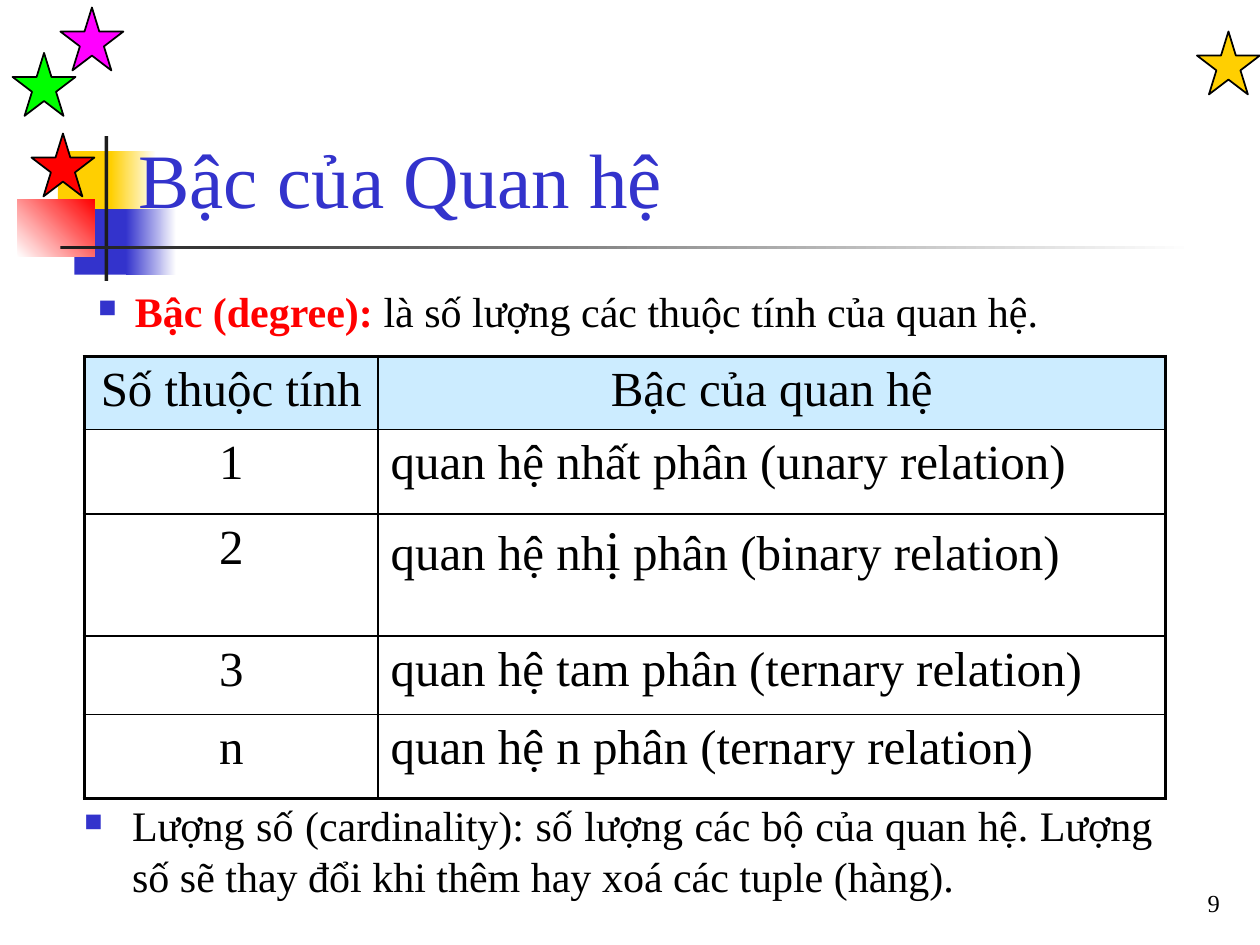
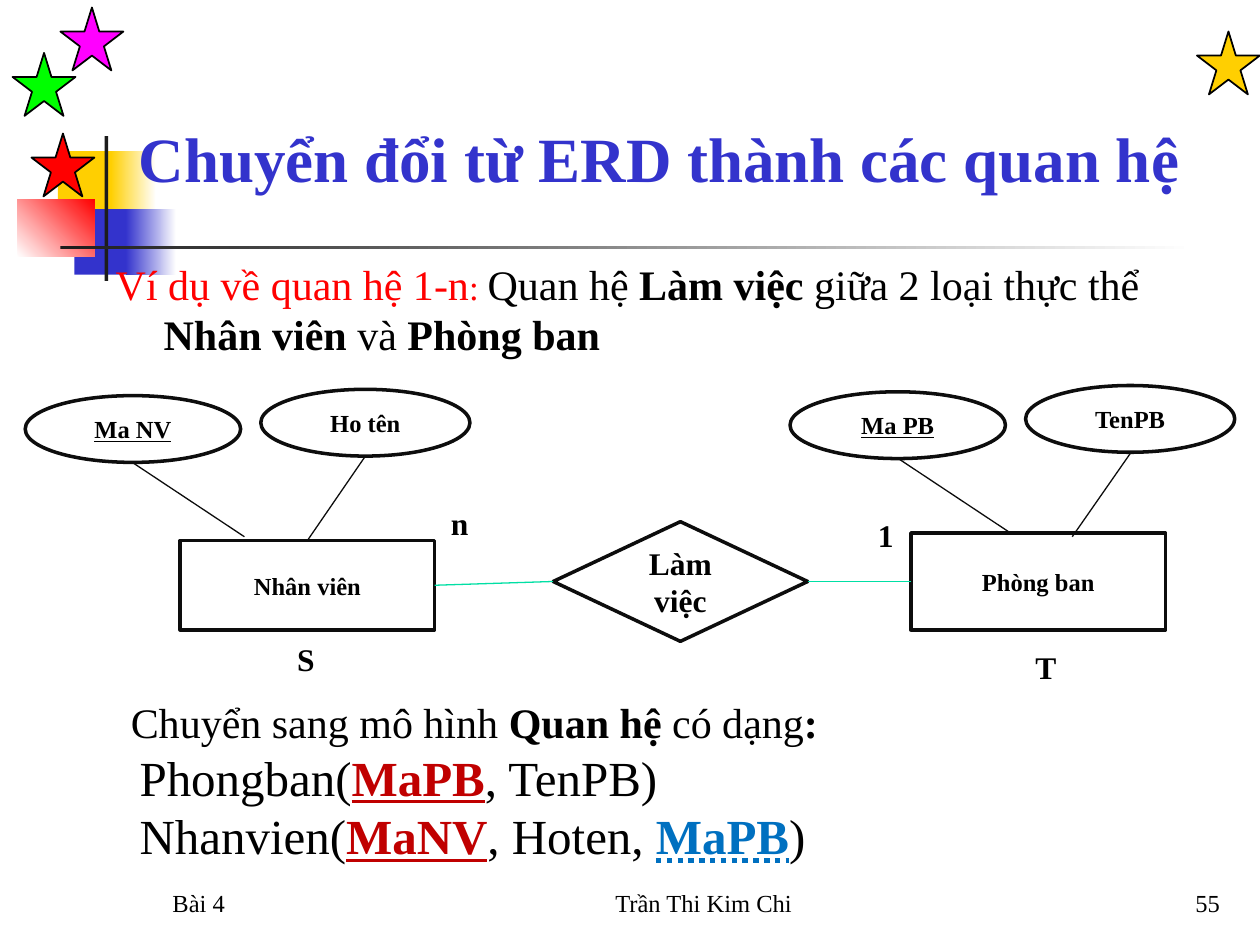
from lxml import etree
from pptx import Presentation
from pptx.dml.color import RGBColor
from pptx.enum import shapes, text
from pptx.oxml.ns import qn
from pptx.util import Inches, Pt

FONT = "Times New Roman"
BLACK = RGBColor(0x00, 0x00, 0x00)
WHITE = RGBColor(0xFF, 0xFF, 0xFF)
INK = RGBColor(0x1C, 0x1C, 0x1C)
OUTLINE = RGBColor(0x0D, 0x0D, 0x0D)
BLUE = RGBColor(0x33, 0x33, 0xCC)
YELLOW = RGBColor(0xFF, 0xCF, 0x01)
RED = RGBColor(0xFF, 0x00, 0x00)
GREEN = RGBColor(0x00, 0xFF, 0x00)
MAGENTA = RGBColor(0xFF, 0x00, 0xFF)
HEADER_BLUE = RGBColor(0xCC, 0xEC, 0xFF)
KEY_RED = RGBColor(0xC0, 0x00, 0x00)
FOREIGN_BLUE = RGBColor(0x00, 0x70, 0xC0)
TEAL = RGBColor(0x00, 0xDF, 0xA4)

RECT = shapes.MSO_SHAPE.RECTANGLE
OVAL = shapes.MSO_SHAPE.OVAL
DIAMOND = shapes.MSO_SHAPE.FLOWCHART_DECISION
TOP, LEFT, RIGHT = 0, 1, 3
ALIGN = text.PP_ALIGN
ANCHOR = text.MSO_ANCHOR

# Bands: box, start colour, end colour (None for solid), angle
BANDS = [
    ((0.46, 1.2, 0.48, 0.52), YELLOW, None, 0),
    ((0.88, 1.2, 0.36, 0.52), YELLOW, WHITE, 0),
    ((0.59, 1.66, 0.46, 0.52), BLUE, None, 0),
    ((1, 1.66, 0.4, 0.52), BLUE, WHITE, 0),
    ((0.14, 1.58, 0.61, 0.46), WHITE, RED, 45),
    ((0.83, 1.08, 0.03, 1.15), INK, None, 0),
    ((0.48, 1.95, 9, 0.03), INK, WHITE, 0),
]
STARS = [(9.5, 0.25, YELLOW), (0.25, 1.06, RED), (0.1, 0.42, GREEN), (0.48, 0.06, MAGENTA)]
FOOTER_BOXES = {
    "date": ((1.27, 6.83, 2.08, 0.5), ALIGN.LEFT),
    "author": ((4, 6.83, 3.17, 0.5), ALIGN.CENTER),
    "number": ((7.7, 6.83, 2.08, 0.5), ALIGN.RIGHT),
}

BOLD = {"bold": True}
KEY = {"bold": True, "underline": True, "color": KEY_RED}
FOREIGN_KEY = {"bold": True, "color": FOREIGN_BLUE,
               "underline": text.MSO_UNDERLINE.DOTTED_HEAVY_LINE}

DEGREE = [("Bậc (degree): ", {"bold": True, "color": RED}),
          "là số lượng các thuộc tính của quan hệ."]
CARDINALITY = ("Lượng số (cardinality): số lượng các bộ của quan hệ. "
               "Lượng số sẽ thay đổi khi thêm hay xoá các tuple (hàng).")
DEGREE_ROWS = [
    ("Số thuộc tính", "Bậc của quan hệ"),
    ("1", "quan hệ nhất phân (unary relation)"),
    ("2", ["quan hệ nh", ("ị", {"size": 32}), " phân (binary relation)"]),
    ("3", "quan hệ tam phân (ternary relation)"),
    ("n", "quan hệ n phân (ternary relation)"),
]
COLUMN_WIDTHS = [2.33, 6.25]
ROW_HEIGHTS = [0.58, 0.67, 0.97, 0.62, 0.67]

EXAMPLE = [("Ví dụ về quan hệ 1-n", {"color": RED}), (": ", {"color": RED, "size": 20}),
           "Quan hệ ", ("Làm việc ", BOLD), "giữa 2 loại thực thể ",
           ("Nhân viên", BOLD), " và ", ("Phòng ban", BOLD)]
CONVERSION = ["Chuyển sang mô hình ", ("Quan hệ ", BOLD), "có dạng", (":", BOLD)]
RELATIONS = [
    ["Phongban(", ("MaPB", KEY), ", TenPB)"],
    ["Nhanvien(", ("MaNV", KEY), ", Hoten, ", ("MaPB", FOREIGN_KEY), ")"],
]

# Diagram nodes: name -> preset, box, text format
NODES = {
    "Nhân viên": (RECT, (1.43, 4.29, 2.02, 0.71), {}),
    "Ho tên": (OVAL, (2.07, 3.09, 1.66, 0.53), {}),
    "Ma NV": (OVAL, (0.2, 3.14, 1.71, 0.53), {"underline": True}),
    "Làm việc": (DIAMOND, (4.39, 4.14, 2.02, 0.95), {"size": 18}),
    "Phòng ban": (RECT, (7.23, 4.23, 2.02, 0.77), {}),
    "TenPB": (OVAL, (8.14, 3.06, 1.66, 0.53), {}),
    "Ma PB": (OVAL, (6.27, 3.11, 1.71, 0.53), {"underline": True}),
}
# Links: start, end, colour, joined start (node, side), joined end (node, side)
LINKS = [
    ((2.9, 3.62), (2.44, 4.29), OUTLINE, None, ("Nhân viên", TOP)),
    ((1.05, 3.67), (1.94, 4.26), OUTLINE, None, None),
    ((8.97, 3.6), (8.51, 4.26), OUTLINE, None, None),
    ((7.13, 3.64), (8.02, 4.23), OUTLINE, None, None),
    ((3.45, 4.65), (4.39, 4.62), TEAL, ("Nhân viên", RIGHT), ("Làm việc", LEFT)),
    ((6.41, 4.62), (7.23, 4.62), TEAL, ("Làm việc", RIGHT), ("Phòng ban", LEFT)),
]
LABELS = [("n", 3.48, 3.95), ("1", 6.87, 4.05), ("S", 2.26, 5.03), ("T", 8.12, 5.09)]


def inches(values):
    return [Inches(value) for value in values]


def write(paragraph, runs, size=24, color=BLACK, bold=False, underline=False,
          align=ALIGN.LEFT, indent=(0, 0), bullet=False):
    """Fill a paragraph; runs is a string or a list of strings and (string, format) pairs."""
    paragraph.alignment = align
    properties = paragraph._p.get_or_add_pPr()
    properties.set("marL", str(Inches(indent[0])))
    properties.set("indent", str(Inches(indent[1])))
    if bullet:
        bullet_color = etree.SubElement(properties, qn("a:buClr"))
        etree.SubElement(bullet_color, qn("a:srgbClr"), val=str(BLUE))
        etree.SubElement(properties, qn("a:buSzPct"), val="60000")
        etree.SubElement(properties, qn("a:buChar"), char="■")
    for item in [runs] if isinstance(runs, str) else runs:
        words, changes = (item, {}) if isinstance(item, str) else item
        look = {"size": size, "color": color, "bold": bold, "underline": underline, **changes}
        run = paragraph.add_run()
        run.text = words
        run.font.name = FONT
        run.font.size = Pt(look["size"])
        run.font.color.rgb = look["color"]
        run.font.bold = look["bold"]
        run.font.underline = look["underline"]


def add_text(slide, box, runs, anchor=ANCHOR.TOP, wrap=True, **look):
    frame = slide.shapes.add_textbox(*inches(box)).text_frame
    frame.word_wrap = wrap
    frame.vertical_anchor = anchor
    write(frame.paragraphs[0], runs, **look)
    return frame


def add_shape(slide, preset, box, fill, line=None, width=1):
    shape = slide.shapes.add_shape(preset, *inches(box))
    shape.shadow.inherit = False
    shape.fill.solid()
    shape.fill.fore_color.rgb = fill
    if line is None:
        shape.line.fill.background()
    else:
        shape.line.color.rgb = line
        shape.line.width = Pt(width)
    return shape


def decorate_layout(layout, slide):
    """Draw the bands and stars, then move them to the layout that all slides share."""
    decorations = []
    for box, start, end, angle in BANDS:
        band = add_shape(slide, RECT, box, start)
        if end is not None:
            band.fill.gradient()
            band.fill.gradient_angle = angle
            for stop, color in zip(band.fill.gradient_stops, (start, end)):
                stop.color.rgb = color
        decorations.append(band)
    for left, top, color in STARS:
        decorations.append(add_shape(slide, shapes.MSO_SHAPE.STAR_5_POINT,
                                     (left, top, 0.5, 0.5), color, BLACK))
    for decoration in decorations:
        layout.shapes.element.append(decoration.element)


def set_title(slide, box, words, **look):
    title = slide.shapes.title
    title.left, title.top, title.width, title.height = inches(box)
    frame = title.text_frame
    frame.auto_size = text.MSO_AUTO_SIZE.NONE
    frame.word_wrap = True
    frame.vertical_anchor = ANCHOR.BOTTOM
    write(frame.paragraphs[0], words, color=BLUE, **look)


def add_footers(slide, **footers):
    for name, words in footers.items():
        box, align = FOOTER_BOXES[name]
        add_text(slide, box, words, anchor=ANCHOR.BOTTOM, size=14, align=align)


def set_borders(cell, **widths):
    properties = cell._tc.get_or_add_tcPr()
    for side in ("lnL", "lnR", "lnT", "lnB"):
        line = etree.SubElement(properties, qn("a:" + side), w=str(Pt(widths[side])))
        fill = etree.SubElement(line, qn("a:solidFill"))
        etree.SubElement(fill, qn("a:srgbClr"), val=str(BLACK))


def add_degree_table(slide):
    last_row, last_column = len(ROW_HEIGHTS) - 1, len(COLUMN_WIDTHS) - 1
    box = (0.67, 2.83, sum(COLUMN_WIDTHS), sum(ROW_HEIGHTS))
    table = slide.shapes.add_table(last_row + 1, last_column + 1, *inches(box)).table
    table.first_row = table.horz_banding = False
    for column, width in zip(table.columns, COLUMN_WIDTHS):
        column.width = Inches(width)
    for i, (row, height) in enumerate(zip(table.rows, ROW_HEIGHTS)):
        row.height = Inches(height)
        for j, cell in enumerate(row.cells):
            set_borders(cell,
                        lnL=2.25 if j == 0 else 1, lnR=2.25 if j == last_column else 1,
                        lnT=2.25 if i == 0 else 1, lnB=2.25 if i == last_row else 1)
            cell.fill.solid()
            cell.fill.fore_color.rgb = HEADER_BLUE if i == 0 else WHITE
            centred = i == 0 or j == 0
            write(cell.text_frame.paragraphs[0], DEGREE_ROWS[i][j], size=28,
                  align=ALIGN.CENTER if centred else ALIGN.LEFT)


def add_link(slide, start, end, color, joined_start, joined_end, nodes):
    link = slide.shapes.add_connector(shapes.MSO_CONNECTOR.STRAIGHT,
                                      *inches(start), *inches(end))
    link.line.color.rgb = color
    link.line.width = Pt(0.75)
    etree.SubElement(link.element.spPr, qn("a:effectLst"))
    if joined_start:
        link.begin_connect(nodes[joined_start[0]], joined_start[1])
    if joined_end:
        link.end_connect(nodes[joined_end[0]], joined_end[1])


def add_diagram(slide):
    nodes = {}
    for name, (preset, box, look) in NODES.items():
        node = add_shape(slide, preset, box, WHITE, OUTLINE, 2)
        node.text_frame.word_wrap = True
        node.text_frame.vertical_anchor = ANCHOR.MIDDLE
        write(node.text_frame.paragraphs[0], name,
              **{"size": 14, "bold": True, "align": ALIGN.CENTER, **look})
        nodes[name] = node
    for link in LINKS:
        add_link(slide, *link, nodes)
    for words, left, top in LABELS:
        add_text(slide, (left, top, 0.34, 0.54), words, wrap=False, size=18, bold=True)


def build_degree_slide(slide):
    set_title(slide, (1, 0.58, 9, 1.25), "Bậc của Quan hệ", size=44)
    frame = add_text(slide, (0.58, 2.17, 9, 0.6), DEGREE, indent=(0.29, -0.29), bullet=True)
    frame.margin_left, frame.margin_top = Inches(0.2), Inches(0.1)
    add_degree_table(slide)
    add_text(slide, (0.57, 6.3, 8.68, 1), CARDINALITY, align=ALIGN.JUSTIFY,
             indent=(0.38, -0.38), bullet=True)
    add_footers(slide, number="9")


def build_conversion_slide(slide):
    set_title(slide, (1, 0, 8.52, 1.6), "Chuyển đổi từ ERD thành các quan hệ",
              size=36, bold=True)
    add_text(slide, (0.82, 2, 8.75, 0.91), EXAMPLE, indent=(0.38, -0.38))
    add_diagram(slide)
    frame = add_text(slide, (0.51, 5.48, 8, 1.45), CONVERSION, align=ALIGN.JUSTIFY,
                     indent=(0.81, -0.38))
    for relation in RELATIONS:
        write(frame.add_paragraph(), relation, size=28, indent=(0.5, 0))
    add_footers(slide, date="Bài 4", author="Trần Thi Kim Chi", number="55")


def main():
    presentation = Presentation()
    presentation.slide_width, presentation.slide_height = Inches(10), Inches(7.5)
    layout = presentation.slide_layouts[5]
    degree_slide = presentation.slides.add_slide(layout)
    conversion_slide = presentation.slides.add_slide(layout)
    decorate_layout(layout, degree_slide)
    build_degree_slide(degree_slide)
    build_conversion_slide(conversion_slide)
    presentation.save("out.pptx")


if __name__ == "__main__":
    main()
